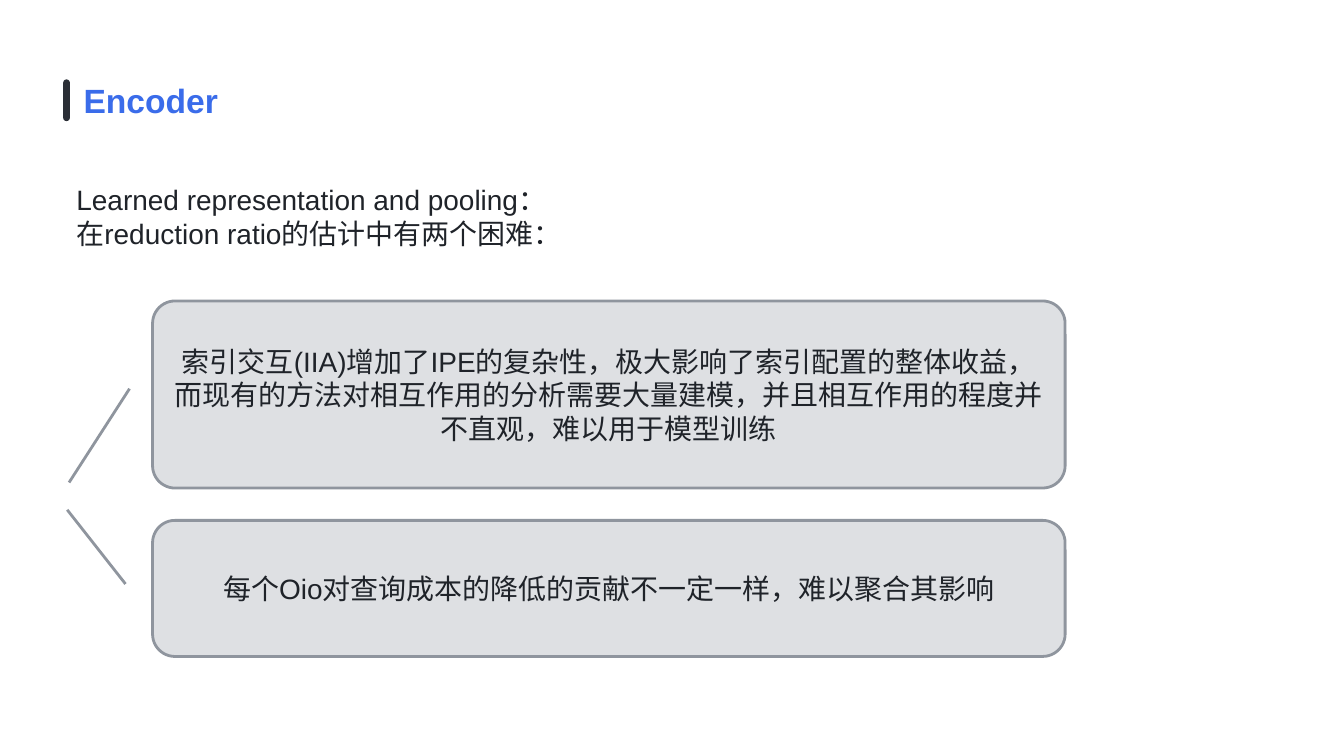
from dataclasses import dataclass

from lxml.etree import SubElement
from pptx import Presentation
from pptx.dml.color import RGBColor
from pptx.enum.shapes import MSO_CONNECTOR, MSO_SHAPE
from pptx.enum.text import MSO_ANCHOR, PP_ALIGN
from pptx.oxml.ns import qn
from pptx.util import Inches, Pt

WIDTH = Inches(10)
HEIGHT = WIDTH * 9 // 16
INSET = Inches(0.1)
CORNER = Inches(1) / 6
FONT = "Arial"

INK = RGBColor(0x1F, 0x23, 0x29)
BAR = RGBColor(0x2B, 0x2F, 0x36)
BLUE = RGBColor(0x3A, 0x6C, 0xEA)
PANEL = RGBColor(0xDE, 0xE0, 0xE3)
GRAY = RGBColor(0x8F, 0x95, 0x9E)


@dataclass(frozen=True)
class Area:
    """A rectangle in percent of the slide's width and height."""
    left: float
    top: float
    width: float
    height: float

    def emu(self) -> tuple[int, int, int, int]:
        return (across(self.left), down(self.top),
                across(self.width), down(self.height))


@dataclass(frozen=True)
class Difficulty:
    top: float
    height: float
    text: str


@dataclass(frozen=True)
class Branch:
    x1: float
    y1: float
    x2: float
    y2: float


DIFFICULTIES = [
    Difficulty(39.82, 24.75,
               "索引交互(IIA)增加了IPE的复杂性，极大影响了索引配置的整体收益，"
               "而现有的方法对相互作用的分析需要大量建模，"
               "并且相互作用的程度并不直观，难以用于模型训练"),
    Difficulty(68.84, 18,
               "每个Oio对查询成本的降低的贡献不一定一样，难以聚合其影响"),
]
BRANCHES = [Branch(9.64, 51.42, 5.14, 63.83), Branch(5, 67.44, 9.34, 77.25)]


def across(percent: float) -> int:
    return round(WIDTH * percent / 100)


def down(percent: float) -> int:
    return round(HEIGHT * percent / 100)


def write(sp, text: str, size: float = 15, color: RGBColor = INK,
          bold: bool = False, align: PP_ALIGN = PP_ALIGN.LEFT) -> None:
    """Fill a shape with text whose punctuation stays inside the margins."""
    tf = sp.text_frame
    tf.text = text
    tf.word_wrap = True
    tf.vertical_anchor = MSO_ANCHOR.MIDDLE
    tf.margin_left = tf.margin_right = tf.margin_top = tf.margin_bottom = INSET
    for p in tf.paragraphs:
        p.alignment = align
        p._p.get_or_add_pPr().set("hangingPunct", "0")
        for r in p.runs:
            r.font.name = FONT
            r.font.size = Pt(size)
            r.font.bold = bold
            r.font.color.rgb = color


def add_rounded(s, area: Area, fill: RGBColor, radius: float):
    sp = s.shapes.add_shape(MSO_SHAPE.ROUNDED_RECTANGLE, *area.emu())
    sp.adjustments[0] = min(0.5, radius / min(sp.width, sp.height))
    sp.shadow.inherit = False
    sp.fill.solid()
    sp.fill.fore_color.rgb = fill
    sp.line.fill.background()
    return sp


def outline(sp) -> None:
    sp.line.color.rgb = GRAY
    sp.line.width = Pt(1.5)


def add_difficulty(s, item: Difficulty) -> None:
    sp = add_rounded(s, Area(11.35, item.top, 67.9, item.height), PANEL, CORNER)
    outline(sp)
    write(sp, item.text, align=PP_ALIGN.CENTER)


def add_branch(s, b: Branch) -> None:
    line = s.shapes.add_connector(MSO_CONNECTOR.STRAIGHT, across(b.x1),
                                  down(b.y1), across(b.x2), down(b.y2))
    outline(line)
    SubElement(line._element.spPr, qn("a:effectLst"))


def main() -> None:
    prs = Presentation()
    prs.slide_width, prs.slide_height = WIDTH, HEIGHT
    s = prs.slides.add_slide(prs.slide_layouts[6])

    add_rounded(s, Area(4.7, 10.5, 0.5, 5.52), BAR, CORNER)
    title = s.shapes.add_textbox(*Area(5.24, 8.08, 12.3, 10.32).emu())
    write(title, "Encoder", 18, BLUE, bold=True)
    intro = s.shapes.add_textbox(*Area(4.7, 20.6, 91.7, 20.46).emu())
    write(intro, "Learned representation and pooling：\n"
                 "在reduction ratio的估计中有两个困难：")
    intro.text_frame.margin_bottom = INSET + Inches(0.25)

    for item in DIFFICULTIES:
        add_difficulty(s, item)
    for branch in BRANCHES:
        add_branch(s, branch)

    prs.save("out.pptx")


if __name__ == "__main__":
    main()
